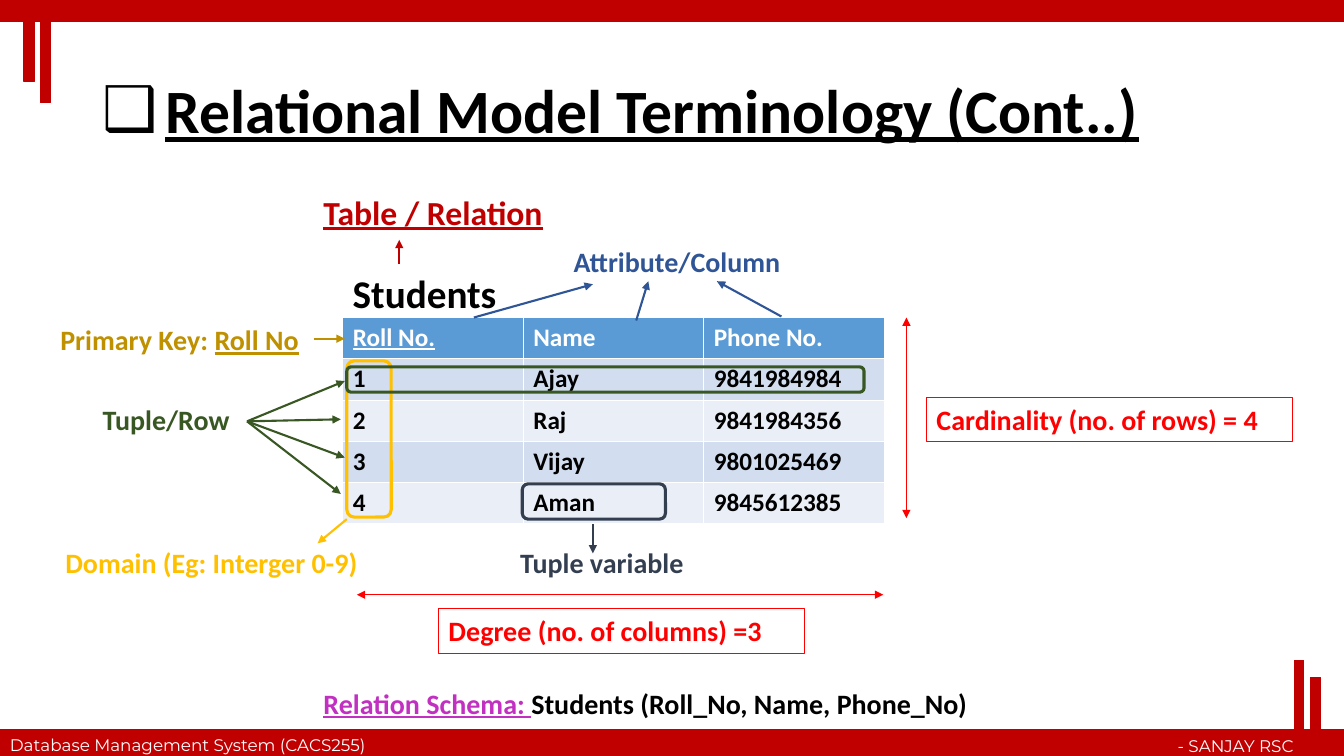
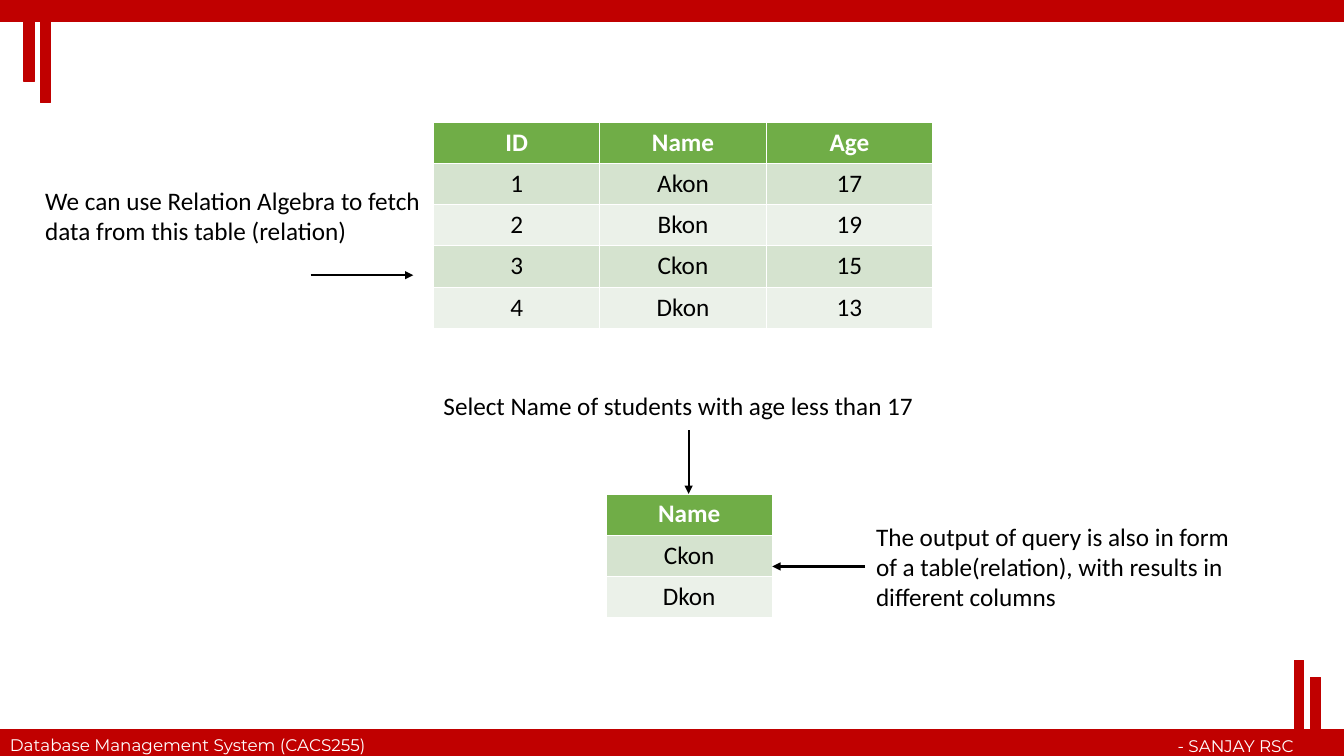
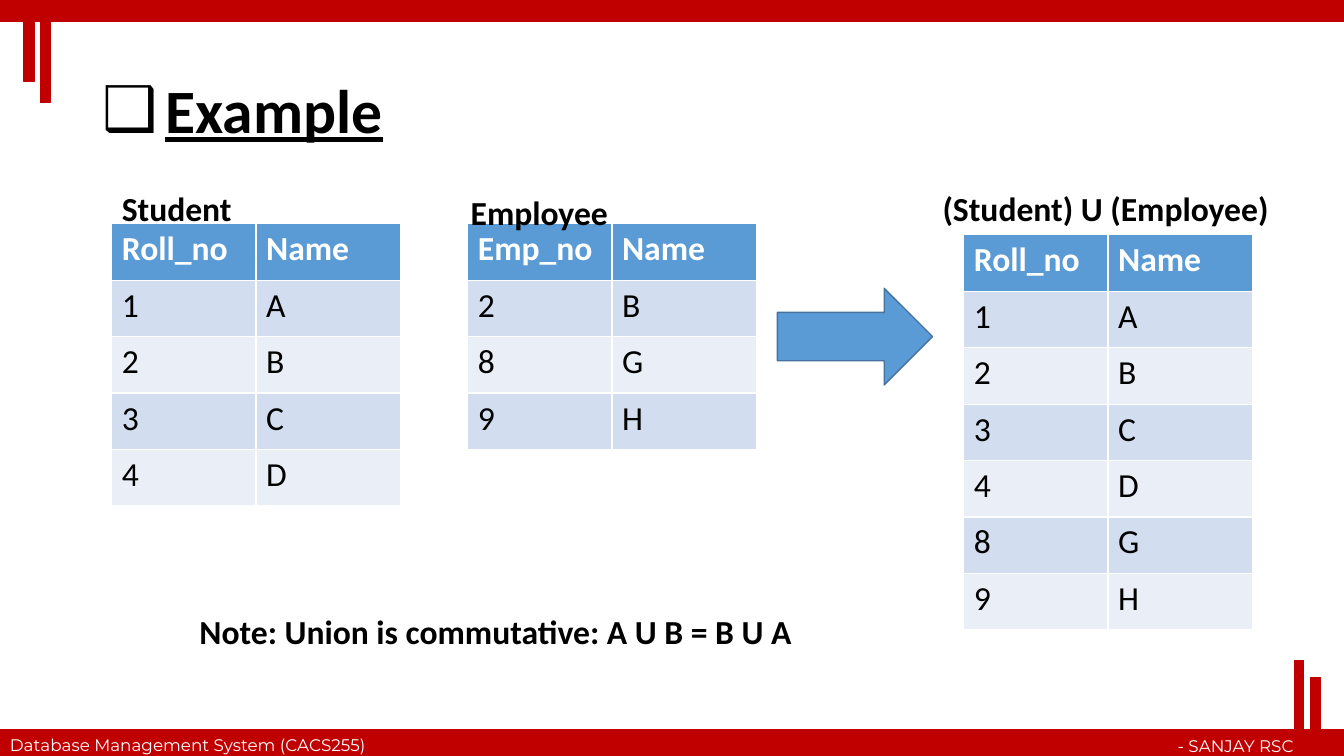
import pptx
import pptx.util
import pptx.dml.color
import pptx.enum.shapes
import pptx.enum.text
import pptx.oxml
import pptx.oxml.ns
import lxml.etree

Inches = pptx.util.Inches
Pt = pptx.util.Pt
SHAPE = pptx.enum.shapes.MSO_SHAPE
ALIGN = pptx.enum.text.PP_ALIGN
qn = pptx.oxml.ns.qn

BLACK, WHITE, CRIMSON, RED = "000000", "FFFFFF", "C00000", "FF0000"
NAVY, GREEN, SLATE = "2F5597", "385723", "333F50"
GOLD, AMBER, PURPLE = "BF9000", "FFC000", "C230C2"
BLUE_BANDS = ("5B9BD5", "D2DEEF", "EAEFF7")
GREEN_BANDS = ("70AD47", "D5E3CF", "EBF1E9")


def rgb(value):
    return pptx.dml.color.RGBColor.from_string(value)


def write(para, text, size=18, color=BLACK, bold=False, underline=False,
          align=ALIGN.LEFT, font="Calibri"):
    para.alignment = align
    span = para.add_run()
    span.text = text
    span.font.name = font
    span.font.size = Pt(size)
    span.font.bold = bold
    span.font.underline = underline
    span.font.color.rgb = rgb(color)


deck = pptx.Presentation()
deck.slide_width = Inches(13.33)
deck.slide_height = Inches(7.5)

title_layout, blank_layout = deck.slide_layouts[5], deck.slide_layouts[6]
layout_title = title_layout.placeholders[0]
layout_title.left, layout_title.top = Inches(0.92), Inches(0.4)
layout_title.width, layout_title.height = Inches(11.5), Inches(1.45)

pages = [deck.slides.add_slide(layout)
         for layout in (title_layout, blank_layout, title_layout)]
terms, query, union = pages

bands = [
    (0, 7.24, 13.33, 0.26),
    (0, 0, 13.33, 0.21),
    (0.4, 0.01, 0.1, 1.01),
    (0.24, 0.03, 0.1, 0.78),
    (12.84, 6.55, 0.09, 0.94),
    (13, 6.72, 0.1, 0.78),
]
shared = []
for band in bands:
    shape = terms.shapes.add_shape(SHAPE.RECTANGLE, *map(Inches, band))
    shape.shadow.inherit = False
    shape.fill.solid()
    shape.fill.fore_color.rgb = rgb(CRIMSON)
    shape.line.color.rgb = rgb(CRIMSON)
    shape.line.width = Pt(1)
    shared.append(shape)

footers = [
    (0, 7.24, 4.16, "Database Management System (CACS255)", ALIGN.LEFT),
    (9.7, 7.25, 3.23, "- SANJAY RSC", ALIGN.RIGHT),
]
for left, top, width, text, align in footers:
    box = terms.shapes.add_textbox(Inches(left), Inches(top), Inches(width), Inches(0.3))
    box.text_frame.word_wrap = True
    write(box.text_frame.paragraphs[0], text, size=12, color=WHITE,
          align=align, font="Montserrat")
    shared.append(box)

for number, shape in enumerate(shared, 101):
    shape.element.xpath("./p:nvSpPr/p:cNvPr")[0].set("id", str(number))
    deck.slide_master.shapes.element.append(shape.element)

titles = [(terms, "Relational Model Terminology (Cont..)"), (union, "Example")]
for page, text in titles:
    frame = page.shapes.title.text_frame
    frame.auto_size = pptx.enum.text.MSO_AUTO_SIZE.NONE
    frame.vertical_anchor = pptx.enum.text.MSO_ANCHOR.MIDDLE
    para = frame.paragraphs[0]
    para.line_spacing = 0.9
    properties = para._p.get_or_add_pPr()
    properties.set("marL", str(Inches(0.62)))
    properties.set("indent", str(-Inches(0.62)))
    lxml.etree.SubElement(properties, qn("a:buFont")).set("typeface", "Wingdings")
    properties[-1].set("typeface", "Calibri")
    lxml.etree.SubElement(properties, qn("a:buChar")).set("char", "❑")
    write(para, text, size=44, bold=True, underline=True)

students = [
    ("Roll No.", "Name", "Phone No."),
    ("1", "Ajay", "9841984984"),
    ("2", "Raj", "9841984356"),
    ("3", "Vijay", "9801025469"),
    ("4", "Aman", "9845612385"),
]
people = [
    ("ID", "Name", "Age"),
    ("1", "Akon", "17"),
    ("2", "Bkon", "19"),
    ("3", "Ckon", "15"),
    ("4", "Dkon", "13"),
]
young = [("Name",), ("Ckon",), ("Dkon",)]
student = [("Roll_no", "Name"), ("1", "A"), ("2", "B"), ("3", "C"), ("4", "D")]
employee = [("Emp_no", "Name"), ("2", "B"), ("8", "G"), ("9", "H")]
combined = student + employee[2:]

tables = [
    (terms, 3.4, 3.15, 1.79, 0.41, students, BLUE_BANDS, 18, True, ALIGN.LEFT),
    (query, 4.3, 1.21, 1.65, 0.41, people, GREEN_BANDS, 18, False, ALIGN.CENTER),
    (query, 6.01, 4.9, 1.65, 0.41, young, GREEN_BANDS, 18, False, ALIGN.CENTER),
    (union, 1.11, 2.22, 1.43, 0.56, student, BLUE_BANDS, 24, False, ALIGN.LEFT),
    (union, 4.64, 2.22, 1.43, 0.56, employee, BLUE_BANDS, 24, False, ALIGN.LEFT),
    (union, 9.56, 2.33, 1.43, 0.56, combined, BLUE_BANDS, 24, False, ALIGN.LEFT),
]
for page, left, top, width, height, rows, fills, size, bold, align in tables:
    columns = len(rows[0])
    table = page.shapes.add_table(
        len(rows), columns, Inches(left), Inches(top),
        Inches(width * columns), Inches(height * len(rows))).table
    for row, values in enumerate(rows):
        header = row == 0
        for column, value in enumerate(values):
            cell = table.cell(row, column)
            cell.fill.solid()
            cell.fill.fore_color.rgb = rgb(fills[0] if header else fills[2 - row % 2])
            write(cell.text_frame.paragraphs[0], value, size=size,
                  color=WHITE if header else BLACK, bold=header or bold,
                  underline=value == "Roll No.", align=align)

labels = [
    (terms, 3.4, 2.62, 1.9, 0.57, 28, True, [("Students", BLACK, False)]),
    (terms, 3.11, 1.85, 2.48, 0.5, 24, True, [("Table / Relation", CRIMSON, True)]),
    (terms, 5.59, 2.38, 2.74, 0.44, 20, True, [("Attribute/Column", NAVY, False)]),
    (terms, 9.19, 3.94, 3.63, 0.44, 20, True,
     [("Cardinality (no. of rows) = 4", RED, False)]),
    (terms, 0.5, 3.15, 2.74, 0.44, 20, True,
     [("Primary Key: ", GOLD, False), ("Roll No", GOLD, True)]),
    (terms, 0.92, 3.94, 2.74, 0.44, 20, True, [("Tuple/Row", GREEN, False)]),
    (terms, 0.55, 5.36, 3.1, 0.44, 20, True,
     [("Domain (Eg: Interger 0-9)", AMBER, False)]),
    (terms, 5.06, 5.36, 2.05, 0.44, 20, True, [("Tuple variable", SLATE, False)]),
    (terms, 4.35, 6.04, 3.63, 0.44, 20, True,
     [("Degree (no. of columns) =3", RED, False)]),
    (terms, 3.11, 6.76, 6.64, 0.44, 20, True,
     [("Relation Schema: ", PURPLE, True),
      ("Students (Roll_No, Name, Phone_No)", BLACK, False)]),
    (query, 0.35, 1.79, 3.95, 0.71, 18, False,
     [("We can use Relation Algebra to fetch data from this table (relation)",
       BLACK, False)]),
    (query, 4.3, 3.82, 5.05, 0.4, 18, False,
     [("Select Name of students with age less than 17", BLACK, False)]),
    (query, 8.59, 5.12, 3.95, 1.01, 18, False,
     [("The output of query is also in form of a table(relation), "
       "with results in different columns", BLACK, False)]),
    (union, 1.11, 1.82, 2.16, 0.5, 24, True, [("Student", BLACK, False)]),
    (union, 4.57, 1.85, 2.16, 0.5, 24, True, [("Employee", BLACK, False)]),
    (union, 9.25, 1.82, 3.44, 0.5, 24, True,
     [("(Student) U (Employee)", BLACK, False)]),
    (union, 1.88, 6.01, 6.5, 0.5, 24, True,
     [("Note: Union is commutative: A U B = B U A", BLACK, False)]),
]
for page, left, top, width, height, size, bold, spans in labels:
    box = page.shapes.add_textbox(Inches(left), Inches(top), Inches(width), Inches(height))
    box.text_frame.word_wrap = True
    for text, color, underline in spans:
        write(box.text_frame.paragraphs[0], text, size=size, color=color,
              bold=bold, underline=underline)
    if color == RED:
        box.line.color.rgb = rgb(RED)
        box.line.width = Pt(0.75)

outlines = [
    (terms, SHAPE.ROUNDED_RECTANGLE, 3.44, 3.58, 0.44, 1.55, AMBER, 2.25, None),
    (terms, SHAPE.ROUNDED_RECTANGLE, 3.44, 3.64, 5.13, 0.25, GREEN, 2.25, None),
    (terms, SHAPE.ROUNDED_RECTANGLE, 5.18, 4.8, 1.42, 0.35, SLATE, 2.25, None),
    (union, SHAPE.RIGHT_ARROW, 7.71, 2.86, 1.54, 0.96, "43739E", 1, BLUE_BANDS[0]),
]
for page, kind, left, top, width, height, color, weight, fill in outlines:
    shape = page.shapes.add_shape(
        kind, Inches(left), Inches(top), Inches(width), Inches(height))
    shape.shadow.inherit = False
    shape.line.color.rgb = rgb(color)
    shape.line.width = Pt(weight)
    if fill:
        shape.fill.solid()
        shape.fill.fore_color.rgb = rgb(fill)
    else:
        shape.fill.background()

arrows = [
    (terms, 8.99, 3.15, 8.99, 5.14, RED),
    (terms, 3.54, 5.9, 8.76, 5.9, RED),
    (terms, 3.96, 2.62, 3.96, 2.38, CRIMSON),
    (terms, 4.7, 3.15, 5.88, 2.82, NAVY),
    (terms, 7.75, 3.14, 7.11, 2.79, NAVY),
    (terms, 6.31, 3.18, 6.43, 2.79, NAVY),
    (terms, 3.44, 5.15, 3.15, 5.39, AMBER),
    (terms, 2.45, 4.18, 3.42, 3.78, GREEN),
    (terms, 2.45, 4.18, 3.38, 4.16, GREEN),
    (terms, 2.45, 4.18, 3.42, 4.54, GREEN),
    (terms, 2.45, 4.18, 3.38, 4.9, GREEN),
    (terms, 3.11, 3.36, 3.42, 3.36, GOLD),
    (terms, 5.88, 5.2, 5.88, 5.49, SLATE),
    (query, 3.08, 2.73, 4.1, 2.73, BLACK),
    (query, 6.83, 4.27, 6.83, 4.9, BLACK),
    (query, 8.58, 5.62, 7.66, 5.62, BLACK),
]
for page, x1, y1, x2, y2, color in arrows:
    arrow = page.shapes.add_connector(
        pptx.enum.shapes.MSO_CONNECTOR.STRAIGHT,
        Inches(x1), Inches(y1), Inches(x2), Inches(y2))
    double = color == RED
    arrow.line.color.rgb = rgb(color)
    arrow.line.width = Pt(0.5 if double else 1.5)
    for end in ("a:headEnd", "a:tailEnd") if double else ("a:tailEnd",):
        lxml.etree.SubElement(arrow.get_or_add_ln(), qn(end)).set("type", "triangle")
    lxml.etree.SubElement(arrow.element.spPr, qn("a:effectLst"))

deck.save("out.pptx")
